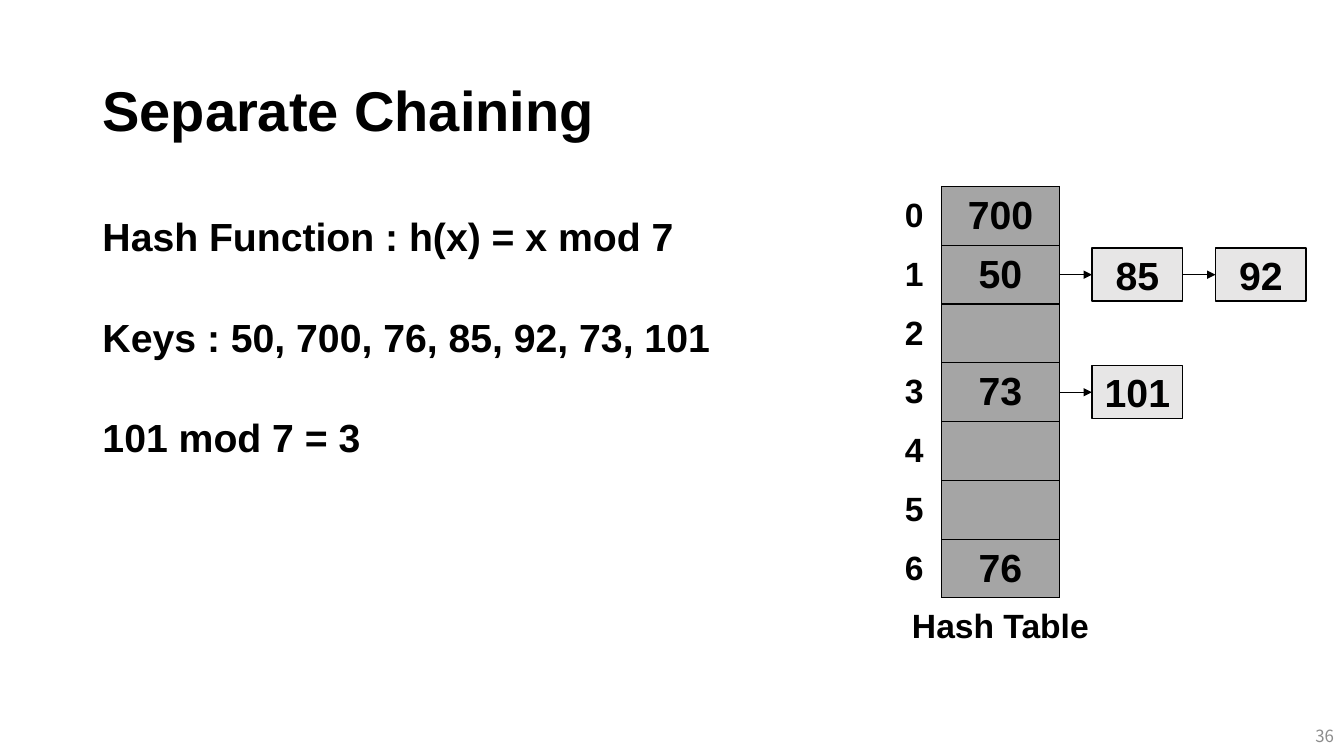
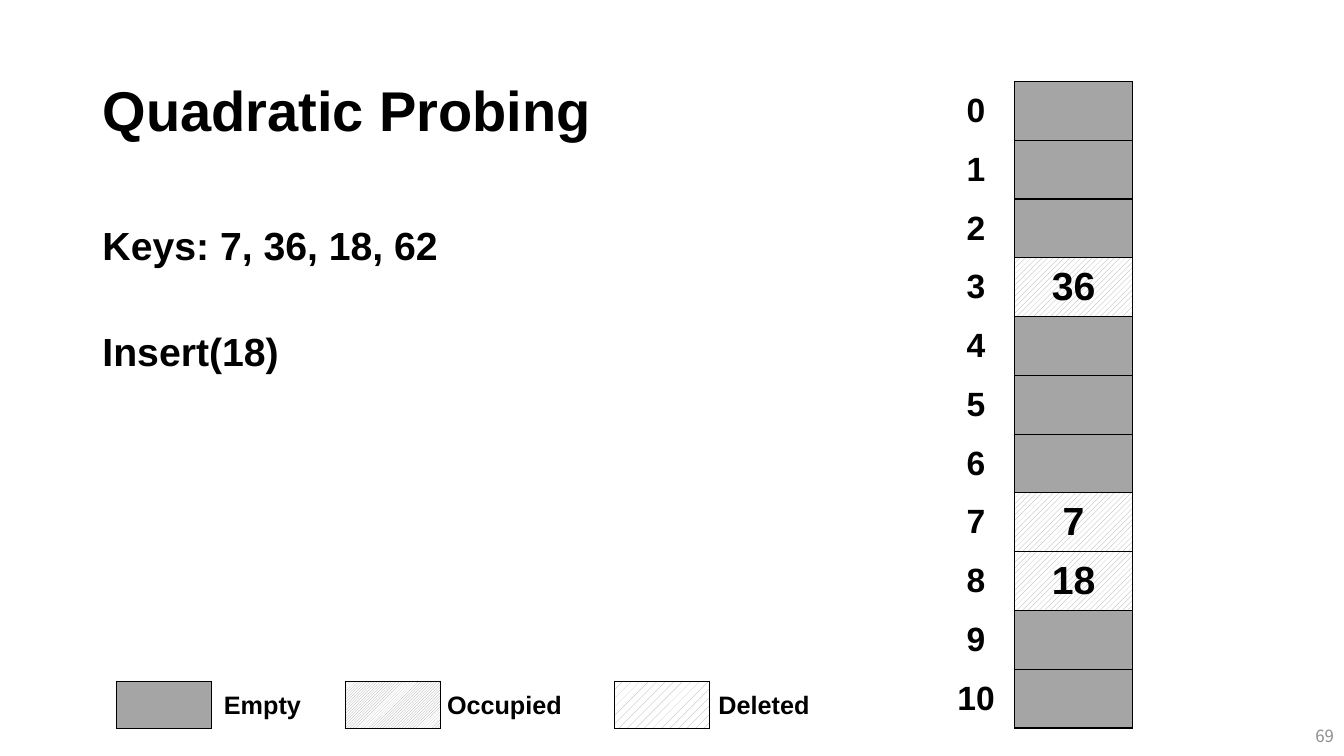
from dataclasses import dataclass

from lxml.etree import SubElement
from pptx import Presentation
from pptx.dml.color import RGBColor
from pptx.enum.dml import MSO_PATTERN
from pptx.enum.shapes import MSO_CONNECTOR, MSO_SHAPE
from pptx.enum.text import MSO_ANCHOR, MSO_AUTO_SIZE, PP_ALIGN
from pptx.oxml.ns import qn
from pptx.util import Inches, Pt


@dataclass(frozen=True)
class Theme:
    black: RGBColor = RGBColor.from_string("000000")
    white: RGBColor = RGBColor.from_string("FFFFFF")
    cell: RGBColor = RGBColor.from_string("A5A5A5")
    node: RGBColor = RGBColor.from_string("E7E6E6")
    muted: RGBColor = RGBColor.from_string("8C8C8C")
    font: str = "Arial"
    number_font: str = "Noto Sans CJK KR"
    title_size: int = 40
    body_size: int = 28
    index_size: int = 24
    legend_size: int = 18
    number_size: int = 12
    border: float = 1
    arrow: float = 0.5


THEME = Theme()
NO_TABLE_STYLE = "{2D5ABB26-0587-4C30-8999-92F81FD0307C}"
WIDTH, HEIGHT = Inches(13.33), Inches(7.5)
COLUMNS, ROWS = 16, 9
LEFT = 1.1
CELL_WIDTH, CELL_HEIGHT = 1.4, 0.7
NODE_WIDTH, NODE_HEIGHT, NODE_GAP = 1.08, 0.63, 0.39

# Fill of a cell by its state: None is solid
EMPTY = None
PROBED = MSO_PATTERN.WIDE_UPWARD_DIAGONAL
OCCUPIED = MSO_PATTERN.DARK_UPWARD_DIAGONAL
DELETED = MSO_PATTERN.PERCENT_20


def across(columns):
    return round(WIDTH * columns / COLUMNS)


def down(rows):
    return round(HEIGHT * rows / ROWS)


def box(left, top, width, height):
    return across(left), down(top), across(width), down(height)


class Deck:
    """Holds the style and the current slide; lengths are grid columns and rows."""

    def __init__(self, theme):
        self.theme = theme
        self.presentation = Presentation()
        self.presentation.slide_width = WIDTH
        self.presentation.slide_height = HEIGHT
        self.slide = None

    def add_text(self, paragraph, text, size, align=PP_ALIGN.CENTER):
        paragraph.alignment = align
        run = paragraph.add_run()
        run.text = text
        run.font.size = Pt(size)
        run.font.name = self.theme.font
        run.font.bold = True
        run.font.color.rgb = self.theme.black
        return run

    def place(self, placeholder, left, top, width, height):
        placeholder.left, placeholder.top, placeholder.width, placeholder.height = box(
            left, top, width, height)
        placeholder.text_frame.auto_size = MSO_AUTO_SIZE.NONE
        return placeholder.text_frame

    def start_slide(self, title, number):
        layout = self.presentation.slide_layouts[1]
        self.slide = self.presentation.slides.add_slide(layout)
        frame = self.place(self.slide.shapes.title, LEFT, 0.48, 13.8, 1.74)
        frame.vertical_anchor = MSO_ANCHOR.MIDDLE
        frame.paragraphs[0].line_spacing = 0.9
        self.add_text(frame.paragraphs[0], title, self.theme.title_size, PP_ALIGN.LEFT)
        run = self.label(number, 12.4, 8.52, 3.48, 0.48, self.theme.number_size,
                         PP_ALIGN.RIGHT)
        run.font.name = self.theme.number_font
        run.font.bold = False
        run.font.color.rgb = self.theme.muted

    def statements(self, lines, top, gap):
        """Fill the body with unbulleted lines, gap points apart."""
        frame = self.place(self.slide.placeholders[1], LEFT, top, 8, 4)
        frame.vertical_anchor = MSO_ANCHOR.TOP
        for position, line in enumerate(lines):
            paragraph = frame.add_paragraph() if position else frame.paragraphs[0]
            paragraph.space_before = Pt(0)
            paragraph.space_after = Pt(gap)
            properties = paragraph._p.get_or_add_pPr()
            properties.set("marL", "0")
            properties.set("indent", "0")
            SubElement(properties, qn("a:buNone"))
            self.add_text(paragraph, line, self.theme.body_size, PP_ALIGN.LEFT)

    def label(self, text, left, top, width, height, size, align=PP_ALIGN.CENTER):
        frame = self.slide.shapes.add_textbox(*box(left, top, width, height)).text_frame
        frame.word_wrap = True
        frame.margin_left = frame.margin_right = 0
        frame.vertical_anchor = MSO_ANCHOR.MIDDLE
        return self.add_text(frame.paragraphs[0], text, size, align)

    def grid(self, left, top, width, row_height, count):
        """Add an unstyled table of one column and return its cells."""
        table = self.slide.shapes.add_table(
            count, 1, *box(left, top, width, row_height * count)).table
        table.first_row = table.horz_banding = False
        table._tbl.tblPr.find(qn("a:tableStyleId")).text = NO_TABLE_STYLE
        for row in table.rows:
            row.height = down(row_height)
        return [table.cell(row, 0) for row in range(count)]

    def paint(self, cell, pattern):
        properties = cell._tc.get_or_add_tcPr()
        for side in ("a:lnL", "a:lnR", "a:lnT", "a:lnB"):
            line = SubElement(properties, qn(side), w=str(Pt(self.theme.border)))
            color = SubElement(line, qn("a:solidFill"))
            SubElement(color, qn("a:srgbClr"), val=str(self.theme.black))
        if pattern is None:
            cell.fill.solid()
        else:
            cell.fill.patterned()
            cell.fill.pattern = pattern
            cell.fill.back_color.rgb = self.theme.white
        cell.fill.fore_color.rgb = self.theme.cell

    def fill_cell(self, cell, text, size):
        cell.vertical_anchor = MSO_ANCHOR.MIDDLE
        self.add_text(cell.text_frame.paragraphs[0], text, size)

    def hash_table(self, left, top, count, keys, index_width, pattern):
        """Draw the slots, keys by slot number, with the indexes to their left."""
        slots = self.grid(left, top, CELL_WIDTH, CELL_HEIGHT, count)
        for slot, cell in enumerate(slots):
            self.paint(cell, pattern if slot in keys else EMPTY)
            if slot in keys:
                self.fill_cell(cell, keys[slot], self.theme.body_size)
        indexes = self.grid(left - index_width, top, index_width, CELL_HEIGHT, count)
        for slot, cell in enumerate(indexes):
            cell.fill.background()
            self.fill_cell(cell, str(slot), self.theme.index_size)

    def node(self, text, left, middle):
        shape = self.slide.shapes.add_shape(
            MSO_SHAPE.RECTANGLE,
            *box(left, middle - NODE_HEIGHT / 2, NODE_WIDTH, NODE_HEIGHT))
        shape.shadow.inherit = False
        shape.fill.solid()
        shape.fill.fore_color.rgb = self.theme.node
        shape.line.color.rgb = self.theme.black
        shape.line.width = Pt(self.theme.border)
        shape.text_frame.vertical_anchor = MSO_ANCHOR.MIDDLE
        self.add_text(shape.text_frame.paragraphs[0], text, self.theme.body_size)
        return shape

    def arrow(self, left, middle, source, target):
        """Point at target, from source or, without one, from the table's edge."""
        connector = self.slide.shapes.add_connector(
            MSO_CONNECTOR.STRAIGHT, across(left), down(middle),
            across(left + NODE_GAP), down(middle))
        if source is not None:
            connector.begin_connect(source, 3)
        connector.end_connect(target, 1)
        connector.line.color.rgb = self.theme.black
        connector.line.width = Pt(self.theme.arrow)
        SubElement(connector.line._get_or_add_ln(), qn("a:tailEnd"), type="triangle")
        SubElement(connector._element.spPr, qn("a:effectLst"))

    def chain(self, keys, left, middle):
        previous = None
        for key in keys:
            node = self.node(key, left + NODE_GAP, middle)
            self.arrow(left, middle, previous, node)
            previous = node
            left += NODE_GAP + NODE_WIDTH

    def legend_entry(self, text, pattern, left, label_width):
        top, width, height = 8.11, 1.13, 0.56
        self.paint(self.grid(left, top, width, height, 1)[0], pattern)
        self.label(text, left + width - 0.05, top, label_width, height,
                   self.theme.legend_size)


def separate_chaining(deck):
    left, top, count = 11.21, 2.22, 7
    deck.start_slide("Separate Chaining", "36")
    deck.statements(["Hash Function : h(x) = x mod 7",
                     "Keys : 50, 700, 76, 85, 92, 73, 101",
                     "101 mod 7 = 3"], 2.47, 38)
    deck.hash_table(left, top, count, {0: "700", 1: "50", 3: "73", 6: "76"}, 0.65, EMPTY)
    caption_width = 2.48
    deck.label("Hash Table", left + (CELL_WIDTH - caption_width) / 2,
               top + count * CELL_HEIGHT + 0.02, caption_width, 0.6,
               deck.theme.index_size)
    for slot, keys in {1: ["85", "92"], 3: ["101"]}.items():
        deck.chain(keys, left + CELL_WIDTH, top + (slot + 0.5) * CELL_HEIGHT)


def quadratic_probing(deck):
    deck.start_slide("Quadratic Probing", "69")
    deck.statements(["Keys: 7, 36, 18, 62", "Insert(18)"], 2.57, 42.7)
    deck.hash_table(12.08, 0.97, 11, {3: "36", 7: "7", 8: "18"}, 0.92, PROBED)
    for entry in (("Empty", EMPTY, 1.39, 1.31),
                  ("Occupied", OCCUPIED, 4.11, 1.63),
                  ("Deleted", DELETED, 7.32, 1.39)):
        deck.legend_entry(*entry)


def main():
    deck = Deck(THEME)
    separate_chaining(deck)
    quadratic_probing(deck)
    deck.presentation.save("out.pptx")


if __name__ == "__main__":
    main()
